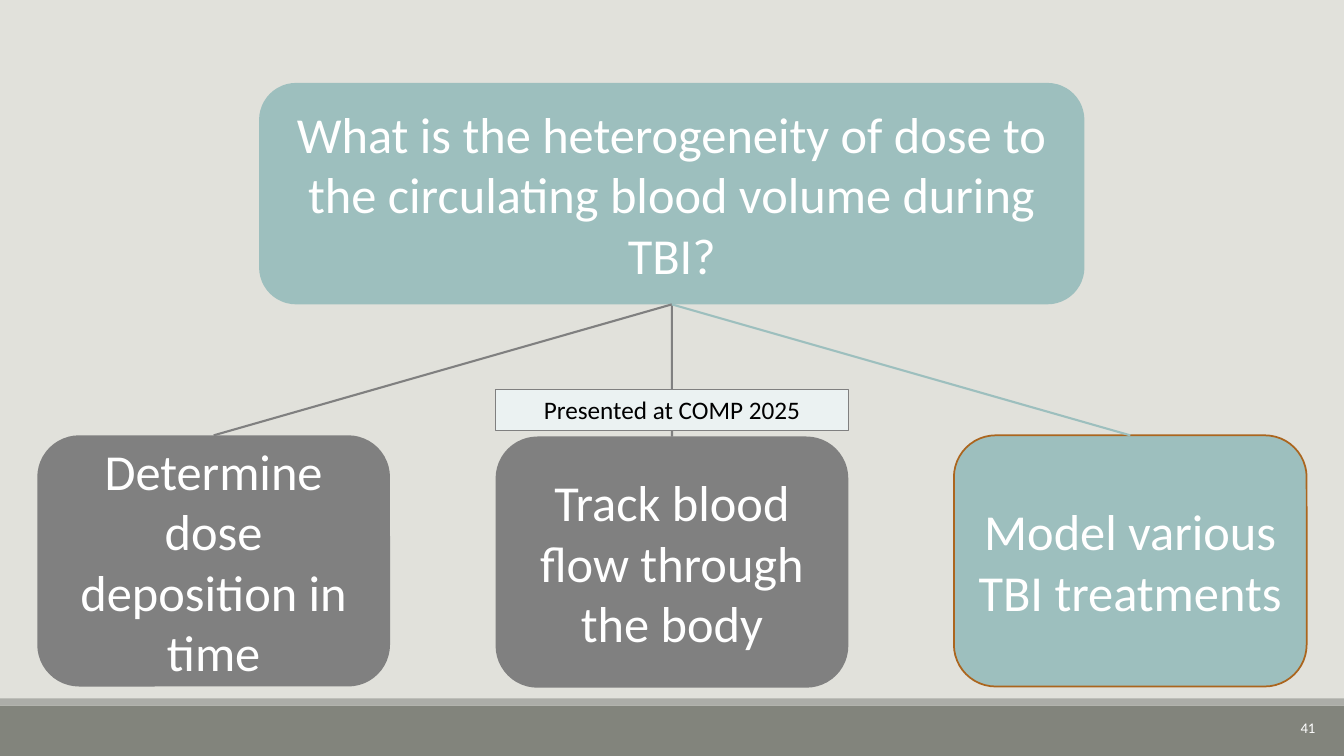
from pptx import Presentation
from pptx.dml.color import RGBColor as RGB
from pptx.enum.shapes import MSO_CONNECTOR as Link, MSO_SHAPE as Form
from pptx.enum.text import MSO_ANCHOR as Anchor, PP_ALIGN as Align
from pptx.oxml.ns import qn
from pptx.util import Cm, Pt
from lxml.etree import SubElement

PAPER = RGB(0xE1, 0xE1, 0xDB)
OLIVE = RGB(0x82, 0x84, 0x7C)
SILVER = RGB(0xAC, 0xAD, 0xA8)
TEAL = RGB(0x9D, 0xBF, 0xBE)
GRAY = RGB(0x80, 0x80, 0x80)
RUST = RGB(0xAB, 0x65, 0x1E)
MIST = RGB(0xEB, 0xF2, 0xF2)
WHITE = RGB(0xFF, 0xFF, 0xFF)
BLACK = RGB(0, 0, 0)

WIDE, HIGH = 33.87, 19.05
LEFT, STEP, BOX = 0.94, 11.55, 8.89


def write(shape, text, size=36, color=WHITE, align=Align.CENTER, anchor=Anchor.MIDDLE):
    frame = shape.text_frame
    frame.word_wrap = True
    frame.vertical_anchor = anchor
    para = frame.paragraphs[0]
    para.text = text
    para.alignment = align
    para.font.name = "Calibri"
    para.font.size = Pt(size)
    para.font.color.rgb = color


def block(slide, area, fill, form=Form.RECTANGLE, edge=None, width=1):
    shape = slide.shapes.add_shape(form, *map(Cm, area))
    shape.shadow.inherit = False
    shape.fill.solid()
    shape.fill.fore_color.rgb = fill
    if edge is None:
        shape.line.fill.background()
    else:
        shape.line.color.rgb = edge
        shape.line.width = Pt(width)
    return shape


def card(slide, area, text, fill, edge=None, width=1):
    shape = block(slide, area, fill, Form.ROUNDED_RECTANGLE, edge, width)
    write(shape, text)
    return shape


def join(slide, low, high, color):
    line = slide.shapes.add_connector(Link.STRAIGHT, 0, 0, 0, 0)
    line.begin_connect(low, 0)
    line.end_connect(high, 2)
    line.line.color.rgb = color
    line.line.width = Pt(1.5)
    SubElement(line._element.spPr, qn("a:effectLst"))


def footer(slide):
    block(slide, (0, 17.78, WIDE, 1.27), OLIVE)
    block(slide, (0, 17.6, WIDE, 0.18), SILVER)
    page = slide.shapes.add_textbox(Cm(25.78), Cm(17.83), Cm(7.62), Cm(1.02))
    write(page, "41", size=10.5, align=Align.RIGHT)


def main():
    deck = Presentation()
    deck.slide_width, deck.slide_height = Cm(WIDE), Cm(HIGH)
    slide = deck.slides.add_slide(deck.slide_layouts[6])
    slide.background.fill.solid()
    slide.background.fill.fore_color.rgb = PAPER
    footer(slide)

    query = card(slide, (6.53, 2.09, 20.8, 5.58),
                 "What is the heterogeneity of dose to the circulating blood volume during TBI?", TEAL)
    goals = [
        ("Determine dose deposition in time", 10.97, GRAY, None),
        ("Track blood flow through the body", 11, GRAY, None),
        ("Model various TBI treatments", 10.97, TEAL, RUST),
    ]
    cards = [card(slide, (LEFT + i * STEP, top, BOX, 6.33), text, fill, edge, 1.25)
             for i, (text, top, fill, edge) in enumerate(goals)]
    for goal, (_, _, fill, _) in zip(cards, goals):
        join(slide, goal, query, fill)

    label = block(slide, (LEFT + STEP, 9.81, BOX, 1.03), MIST, edge=GRAY, width=0.75)
    write(label, "Presented at COMP 2025", size=18, color=BLACK, anchor=Anchor.TOP)
    deck.save("out.pptx")


if __name__ == "__main__":
    main()
